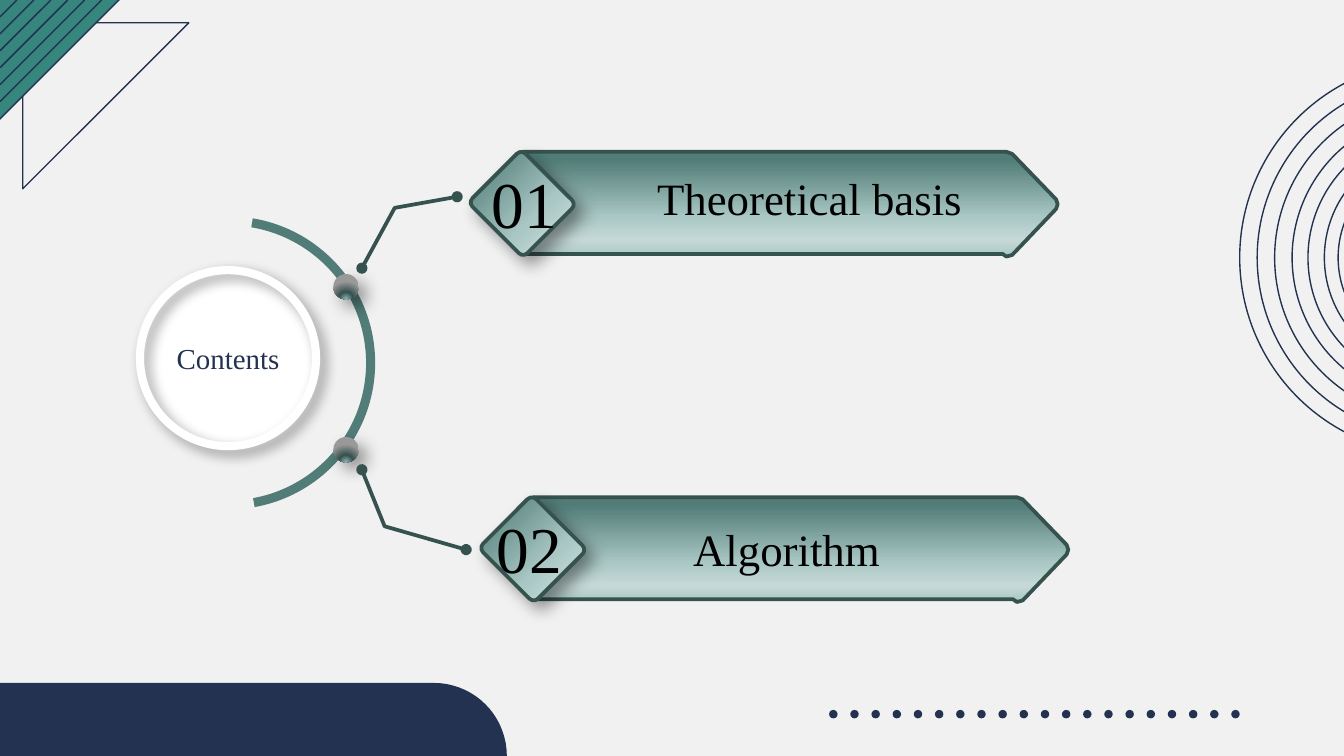
"""Build a contents slide with two numbered banners branching from a ring."""
from dataclasses import dataclass
from math import cos, radians, sin
from typing import Optional

from lxml.etree import SubElement
from pptx import Presentation
from pptx.dml.color import RGBColor
from pptx.enum.shapes import MSO_CONNECTOR, MSO_SHAPE
from pptx.enum.text import MSO_ANCHOR, MSO_AUTO_SIZE, PP_ALIGN
from pptx.oxml.ns import qn
from pptx.shapes.autoshape import Shape
from pptx.shapes.shapetree import SlideShapes
from pptx.text.text import TextFrame
from pptx.util import Cm, Pt

OVAL, DONUT = MSO_SHAPE.OVAL, MSO_SHAPE.DONUT
ARC, ROUNDED = MSO_SHAPE.BLOCK_ARC, MSO_SHAPE.ROUNDED_RECTANGLE
STRAIGHT = MSO_CONNECTOR.STRAIGHT
MIDDLE, CENTER = MSO_ANCHOR.MIDDLE, PP_ALIGN.CENTER
NO_FIT, FIT_SHAPE = MSO_AUTO_SIZE.NONE, MSO_AUTO_SIZE.SHAPE_TO_FIT_TEXT

NAVY = RGBColor(0x23, 0x32, 0x51)
GREEN = RGBColor(0x36, 0x86, 0x7D)
TEAL = RGBColor(0x51, 0x7C, 0x77)
DARK_TEAL = RGBColor(0x36, 0x52, 0x4F)
SOFT_TEAL = RGBColor(0xA9, 0xC7, 0xC4)
PALE_TEAL = RGBColor(0xC6, 0xD9, 0xD7)
STEEL = RGBColor(0x93, 0xB5, 0xBD)
GREY = RGBColor(0x99, 0x99, 0x99)
PAPER = RGBColor(0xF1, 0xF1, 0xF1)
WHITE = RGBColor(0xFF, 0xFF, 0xFF)
BLACK = RGBColor(0, 0, 0)

FONT = "Times New Roman"
WIDTH, HEIGHT = 25.4, 14.29
Point = tuple[float, float]
Stop = tuple[int, RGBColor]

BANNER_STOPS: list[Stop] = [(7, TEAL), (62, SOFT_TEAL), (84, PALE_TEAL), (100, SOFT_TEAL)]
BEAD_STOPS: list[Stop] = [(0, STEEL), (41, DARK_TEAL), (99, GREY)]
BANNER_OUTLINE: list[Point] = [
    (0, 0), (9.14, 0), (9.25, 0.04), (10.08, 0.9), (10.11, 0.99),
    (10.08, 1.08), (9.25, 1.95), (9.14, 1.98), (9.07, 1.93), (0, 1.93),
]


@dataclass
class Banner:
    number: str
    label: str
    left: float
    top: float
    number_left: float
    label_left: float
    label_top: float
    label_width: float
    bead_top: float
    branch: list[Point]


BANNERS = [
    Banner("01", "Theoretical basis", 9.88, 2.87, 9.04, 12.17, 3.1, 6.32, 5.18,
           [(6.84, 5.07), (7.46, 3.93), (8.64, 3.72)]),
    Banner("02", "Algorithm", 10.08, 9.4, 9.14, 12.85, 9.73, 4.29, 8.26,
           [(6.84, 8.88), (7.27, 9.95), (8.81, 10.39)]),
]


def paint(shape: Shape, fill: Optional[RGBColor] = None,
          line: Optional[RGBColor] = None, weight: float = 0.75) -> Shape:
    """Set a flat fill and line, either of which may be absent."""
    shape.shadow.inherit = False
    if fill is None:
        shape.fill.background()
    else:
        shape.fill.solid()
        shape.fill.fore_color.rgb = fill
    if line is None:
        shape.line.fill.background()
    else:
        shape.line.color.rgb = line
        shape.line.width = Pt(weight)
    return shape


def add_preset(shapes: SlideShapes, preset: MSO_SHAPE, left: float, top: float,
               width: float, height: float) -> Shape:
    """Add a preset shape measured in centimetres."""
    return shapes.add_shape(preset, Cm(left), Cm(top), Cm(width), Cm(height))


def add_outline(shapes: SlideShapes, points: list[Point], close: bool = True) -> Shape:
    """Add a freeform through points in centimetres."""
    start, *rest = [(Cm(x), Cm(y)) for x, y in points]
    builder = shapes.build_freeform(*start)
    builder.add_line_segments(rest, close=close)
    return builder.convert_to_shape()


def add_gradient(shape: Shape, stops: list[Stop], round_glow: bool = False) -> None:
    """Fill a shape with a downward or a circular gradient."""
    shape.fill.gradient()
    gradient = shape._element.spPr.find(qn("a:gradFill"))
    gradient.clear()
    gradient.set("rotWithShape", "1")
    stop_list = SubElement(gradient, qn("a:gsLst"))
    for position, color in stops:
        stop = SubElement(stop_list, qn("a:gs"), pos=str(position * 1000))
        SubElement(stop, qn("a:srgbClr"), val=str(color))
    if round_glow:
        circle = SubElement(gradient, qn("a:path"), path="circle")
        SubElement(circle, qn("a:fillToRect"), l="50000", t="130000", r="50000", b="-30000")
    else:
        SubElement(gradient, qn("a:lin"), ang="5400000", scaled="0")


def add_shadow(shape: Shape, blur: float, distance: float) -> None:
    """Cast a soft shadow to the lower right."""
    effects = shape._element.spPr.find(qn("a:effectLst"))
    shadow = SubElement(effects, qn("a:outerShdw"), blurRad=str(Pt(blur)),
                        dist=str(Pt(distance)), dir="2700000", algn="tl", rotWithShape="0")
    black = SubElement(shadow, qn("a:srgbClr"), val=str(BLACK))
    SubElement(black, qn("a:alpha"), val="40000")


def write(frame: TextFrame, text: str, size: float, color: RGBColor) -> None:
    """Add one formatted run to the first paragraph."""
    run = frame.paragraphs[0].add_run()
    run.text = text
    run.font.name = FONT
    run.font.size = Pt(size)
    run.font.color.rgb = color


def add_text(shapes: SlideShapes, text: str, left: float, top: float,
             width: float, height: float, size: float) -> None:
    """Add an unwrapped line of black text."""
    frame = shapes.add_textbox(Cm(left), Cm(top), Cm(width), Cm(height)).text_frame
    frame.word_wrap = False
    frame.auto_size = FIT_SHAPE
    write(frame, text, size, BLACK)


def draw_decor(shapes: SlideShapes) -> None:
    """Draw the corner, ring, dot and stripe ornaments."""
    radius, footer_right = 1.38, 9.58
    curve = [(footer_right - radius + radius * sin(radians(a)), HEIGHT - radius * cos(radians(a)))
             for a in range(0, 91, 5)]
    paint(add_outline(shapes, [(0, HEIGHT), (0, HEIGHT - radius), *curve]), NAVY)

    for ring in (3.73, 3.4, 3.07, 2.74, 2.44, 2.13, 1.87):
        paint(add_preset(shapes, OVAL, 27.16 - ring, 4.87 - ring, 2 * ring, 2 * ring), line=NAVY)
    for column in range(20):
        paint(add_preset(shapes, OVAL, 15.67 + 0.4 * column, 13.42, 0.16, 0.16), NAVY)

    paint(add_outline(shapes, [(0.43, 0.43), (0.43, 3.57), (3.57, 0.43)]), line=NAVY)
    paint(add_outline(shapes, [(-0.02, -0.02), (-0.02, 2.27), (2.27, -0.02)]), GREEN, NAVY, 0.78)
    for step in range(1, 7):
        reach = Cm(0.32 * step)
        stripe = shapes.add_connector(STRAIGHT, 0, reach, reach, 0)
        stripe.line.color.rgb = NAVY
        stripe.line.width = Pt(0.78)
        SubElement(stripe._element.spPr, qn("a:effectLst"))


def draw_hub(shapes: SlideShapes) -> None:
    """Draw the titled disc and the arc beside it."""
    disc = (2.57, 5.03, 3.48, 3.48)
    paint(add_preset(shapes, OVAL, *disc), WHITE)
    rim = paint(add_preset(shapes, DONUT, *disc), WHITE)
    rim.adjustments[0] = 0.044
    add_shadow(rim, 7, 4)

    title = shapes.title
    title.left, title.top, title.width, title.height = map(Cm, disc)
    frame = title.text_frame
    frame.auto_size = NO_FIT
    frame.vertical_anchor = MIDDLE
    frame.paragraphs[0].alignment = CENTER
    write(frame, "Contents", 15.5, NAVY)
    rim._element.addnext(title._element)

    arc = paint(add_preset(shapes, ARC, 1.55, 4.09, 5.54, 5.54), TEAL)
    arc.rotation = 99.5
    for index, value in enumerate((108, 204.157, 0.031)):
        arc.adjustments[index] = value


def draw_banner(shapes: SlideShapes, banner: Banner) -> None:
    """Draw a bead, its branch and the numbered banner."""
    bead = paint(add_preset(shapes, OVAL, 6.3, banner.bead_top, 0.48, 0.48))
    add_gradient(bead, BEAD_STOPS, round_glow=True)
    add_shadow(bead, 9, 6)

    branch = paint(add_outline(shapes, banner.branch, close=False), line=DARK_TEAL, weight=2)
    for end in ("a:headEnd", "a:tailEnd"):
        SubElement(branch._element.spPr.find(qn("a:ln")), qn(end), type="oval")

    outline = [(banner.left + x, banner.top + y) for x, y in BANNER_OUTLINE]
    bar = paint(add_outline(shapes, outline), line=DARK_TEAL, weight=2)
    diamond = paint(add_preset(shapes, ROUNDED, banner.left - 0.72, banner.top + 0.24, 1.42, 1.47),
                    line=DARK_TEAL, weight=2)
    diamond.adjustments[0] = 0.081
    diamond.rotation = 315
    for part in (bar, diamond):
        add_gradient(part, BANNER_STOPS)
    add_shadow(diamond, 9, 6)

    add_text(shapes, banner.number, banner.number_left, banner.top + 0.09, 1.75, 1.75, 35)
    add_text(shapes, banner.label, banner.label_left, banner.label_top, banner.label_width, 1.27, 24)


def main() -> None:
    """Compose and save the slide."""
    deck = Presentation()
    deck.slide_width, deck.slide_height = Cm(WIDTH), Cm(HEIGHT)
    slide = deck.slides.add_slide(deck.slide_layouts[5])
    slide.background.fill.solid()
    slide.background.fill.fore_color.rgb = PAPER
    draw_decor(slide.shapes)
    draw_hub(slide.shapes)
    for banner in BANNERS:
        draw_banner(slide.shapes, banner)
    deck.save("out.pptx")


if __name__ == "__main__":
    main()
